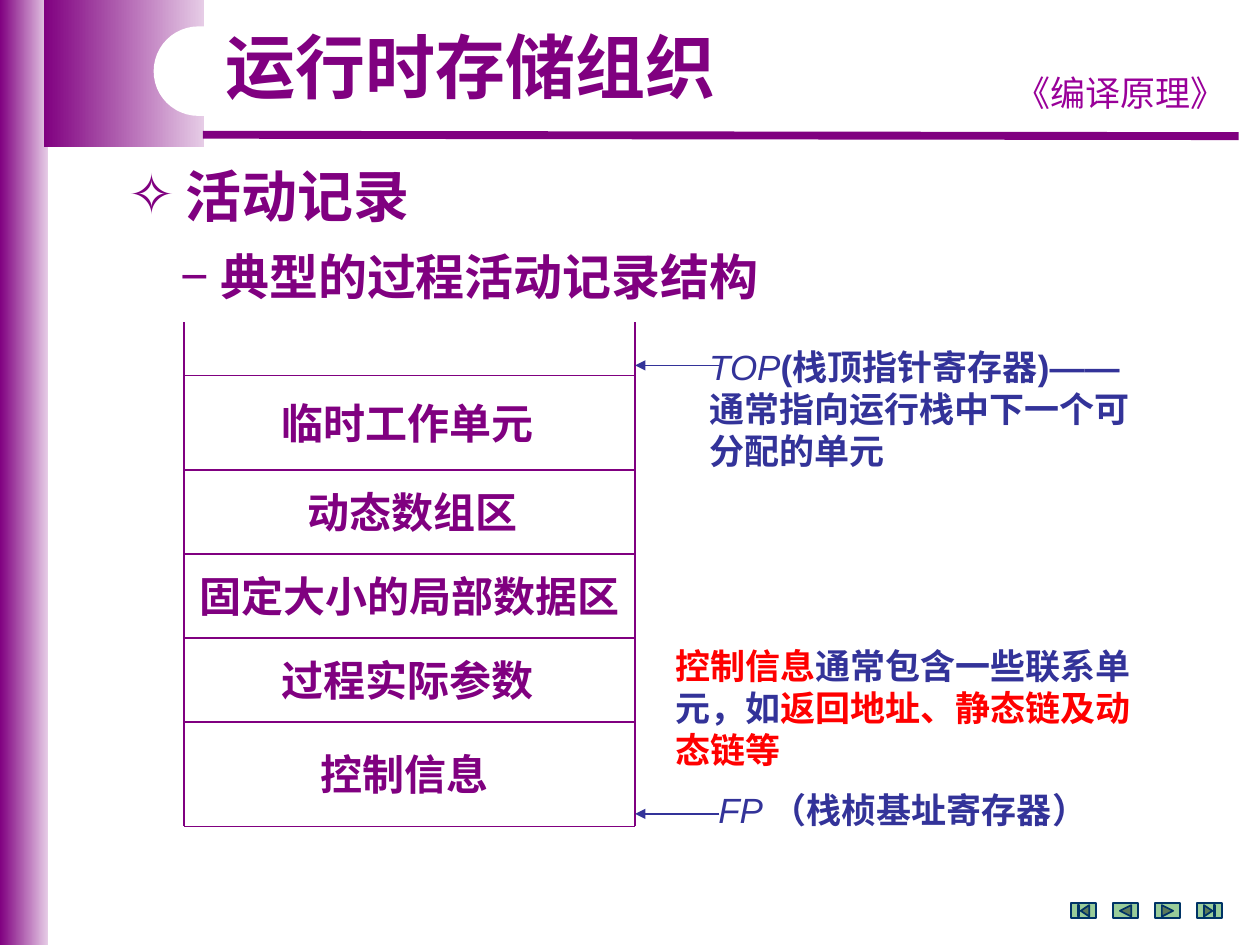
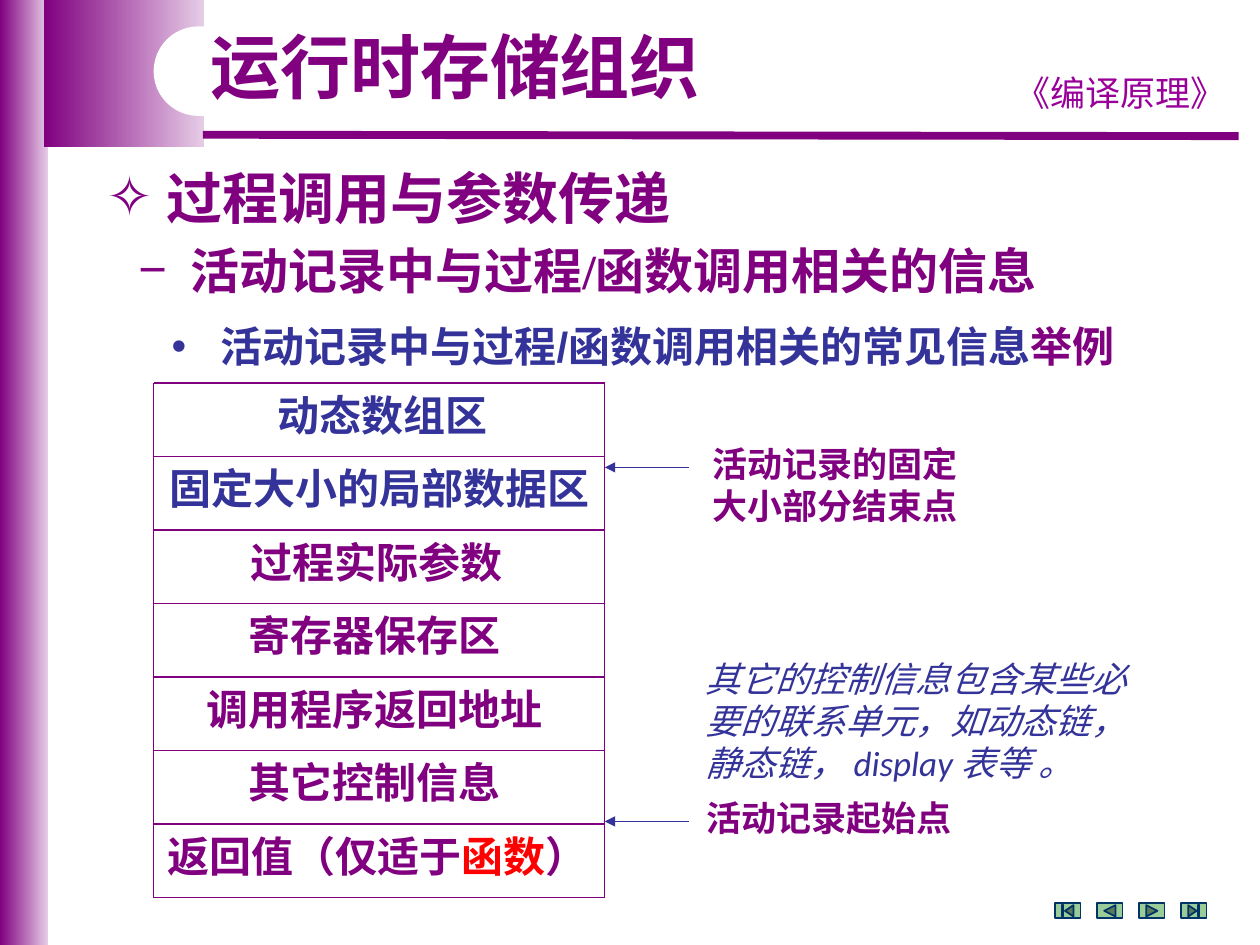
from itertools import pairwise

from lxml import etree
from pptx import Presentation
from pptx.dml.color import RGBColor
from pptx.enum.shapes import MSO_CONNECTOR, MSO_SHAPE
from pptx.enum.text import MSO_ANCHOR, MSO_AUTO_SIZE, PP_ALIGN
from pptx.oxml.ns import qn
from pptx.util import Pt

STRAIGHT = MSO_CONNECTOR.STRAIGHT
RECT, ROUNDED = MSO_SHAPE.RECTANGLE, MSO_SHAPE.ROUNDED_RECTANGLE
LEFT, CENTER = PP_ALIGN.LEFT, PP_ALIGN.CENTER
TOP, NO_FIT = MSO_ANCHOR.TOP, MSO_AUTO_SIZE.NONE
BUTTONS = [
    MSO_SHAPE.ACTION_BUTTON_BEGINNING,
    MSO_SHAPE.ACTION_BUTTON_BACK_OR_PREVIOUS,
    MSO_SHAPE.ACTION_BUTTON_FORWARD_OR_NEXT,
    MSO_SHAPE.ACTION_BUTTON_END,
]

PURPLE, LILAC, BLUE, RED, WHITE = "800080", "E6CCE6", "333399", "FF0000", "FFFFFF"
MAGENTA, GREEN, NAVY = "990099", "99CC99", "003366"
TIMES, NOTO = "Times New Roman", "Noto Sans CJK SC"
TITLE, COURSE = "运行时存储组织", "《编译原理》"
COLUMN_W, CELL_H, ARROW_W = 257.8, 36, 48.2

# Content: a text is a string or a list of (text, run format); boxes are left, top, width, height
SLIDES = [
    {
        "title_left": 121.7,
        "buttons_left": 612,
        "headings": [
            ((66.2, 88.6, 528, 45), [
                ("活动记录", dict(size=32, bullet="✧", indent=33)),
            ]),
            ((95.8, 137.5, 477, 41), [
                ([("典型的", dict(font=NOTO)), ("过程活动记录结构", dict(font=TIMES))],
                 dict(size=28, bullet="−", indent=23)),
            ]),
        ],
        # Column of memory cells: rules, and (text, left offset, width) per cell
        "column_left": 105.1,
        "column_top": 184.3,
        "rules": [214.6, 268.6, 316.6, 364.6, 412.6, 472.3],
        "centred": True,
        "cells": [
            ("临时工作单元", 3.6, 248),
            ("动态数组区", 3.6, 254),
            ("固定大小的局部数据区", 0, 258),
            ("过程实际参数", 3.6, 248),
            ("控制信息", 0, 252),
        ],
        "arrows": [208.8, 465.1],
        "remarks": [
            ((398.2, 193.7, 254.9, 80),
             [("TOP", dict(italic=True, bold=False)),
              "(栈顶指针寄存器)——通常指向运行栈中下一个可分配的单元"],
             dict(color=BLUE)),
            ((378.7, 365, 290.9, 80),
             [("控制信息", dict(color=RED)), "通常包含一些联系单元，如",
              ("返回地址、静态链及动态链等", dict(color=RED))],
             dict(color=BLUE)),
            ((392.4, 447.1, 247, 31),
             [("FP ", dict(italic=True, bold=False)), "（栈桢基址寄存器）"],
             dict(color=BLUE, align=CENTER)),
        ],
    },
    {
        "title_left": 113,
        "buttons_left": 603,
        "headings": [
            ((54, 90, 528, 45), [
                ("过程调用与参数传递", dict(size=32, bullet="✧", indent=34)),
            ]),
            ((72, 133.9, 617.8, 82), [
                ("活动记录中与过程/函数调用相关的信息",
                 dict(size=28, font=TIMES, bullet="−", indent=30)),
                ([("活动记录中与过程/函数调用相关的常见信息", dict(color=BLUE)), "举例"],
                 dict(size=24, bullet="•", indent=47, hang=28, before=12)),
            ]),
        ],
        "column_left": 87.8,
        "column_top": 218.9,
        "rules": [218.9 + 42 * i for i in range(8)],
        "centred": False,
        "cells": [
            ([("动态数组区", dict(color=BLUE))], 3.6, 254),
            ([("固定大小的局部数据区", dict(color=BLUE))], 0, 258),
            ("过程实际参数", 3.6, 248),
            ("寄存器保存区", 0, 252),
            ("调用程序返回地址", 0, 252),
            ("其它控制信息", 0, 252),
            (["返回值（仅适于", ("函数", dict(color=RED)), "）"], 0, 255.6),
        ],
        "arrows": [267.1, 469.4],
        "remarks": [
            ((394.6, 249.1, 164.9, 55.4), "活动记录的固定大小部分结束点", dict(align=CENTER)),
            ((396, 372.2, 262, 80),
             [("其它的控制信息包含某些必要的联系单元，如动态链，静态链， ", dict(font=NOTO)),
              ("display ", dict(font="Calibri")), ("表等 ", dict(font=NOTO)), "。"],
             dict(color=BLUE, italic=True, bold=False)),
            ((388.1, 451.4, 171.4, 31), "活动记录起始点", dict(align=CENTER)),
        ],
    },
]


def rgb(color):
    return RGBColor.from_string(color)


def write(p, text, size=20, align=LEFT, spacing=None, before=0,
          bullet=None, indent=0, hang=None, **fmt):
    """Fill one paragraph; run formats override fmt."""
    p.alignment, p.space_before = align, Pt(before)
    if spacing:
        p.line_spacing = spacing
    if bullet:
        pPr = p._p.get_or_add_pPr()
        pPr.set("marL", str(Pt(indent)))
        pPr.set("indent", str(-Pt(hang or indent)))
        etree.SubElement(pPr, qn("a:buFont")).set("typeface", "Arial")
        etree.SubElement(pPr, qn("a:buChar")).set("char", bullet)
    for part in [text] if isinstance(text, str) else text:
        words, own = (part, {}) if isinstance(part, str) else part
        look = dict(font="Arial", color=PURPLE, bold=True, italic=False) | fmt | own
        r = p.add_run()
        r.text = words
        r.font.size, r.font.name = Pt(size), look["font"]
        r.font.bold, r.font.italic = look["bold"], look["italic"]
        r.font.color.rgb = rgb(look["color"])


def prepare(sp):
    tf = sp.text_frame
    tf.word_wrap, tf.auto_size, tf.vertical_anchor = True, NO_FIT, TOP
    return tf


def add_text(s, box, *paragraphs):
    sp = s.shapes.add_textbox(*map(Pt, box))
    tf = prepare(sp)
    for i, (text, fmt) in enumerate(paragraphs):
        write(tf.add_paragraph() if i else tf.paragraphs[0], text, **fmt)
    return sp


def add_shape(s, kind, box, fill, line=None):
    """A list of two colours as fill gives a left-to-right gradient."""
    sp = s.shapes.add_shape(kind, *map(Pt, box))
    sp.shadow.inherit = False
    if isinstance(fill, list):
        sp.fill.gradient()
        sp.fill.gradient_angle = 0
        for stop, color in zip(sp.fill.gradient_stops, fill):
            stop.color.rgb = rgb(color)
    else:
        sp.fill.solid()
        sp.fill.fore_color.rgb = rgb(fill)
    if line:
        sp.line.color.rgb, sp.line.width = rgb(line), Pt(1)
    else:
        sp.line.fill.background()
    return sp


def add_line(s, x1, y1, x2, y2, color=PURPLE, width=0.75, arrow=False):
    c = s.shapes.add_connector(STRAIGHT, *map(Pt, (x1, y1, x2, y2)))
    c.line.color.rgb, c.line.width = rgb(color), Pt(width)
    if arrow:
        etree.SubElement(c.line._get_or_add_ln(), qn("a:tailEnd")).set("type", "triangle")
    etree.SubElement(c._element.spPr, qn("a:effectLst"))
    return c


def move_frame_to_layout(s, layout):
    """Draw the shared bands, rule and course name, and hand them to the layout."""
    pill = add_shape(s, ROUNDED, (87.8, 15.1, 260.6, 51.1), WHITE)
    pill.adjustments[0] = 0.5
    frame = [
        add_shape(s, RECT, (0, 0, 27.4, 540), [PURPLE, LILAC]),
        add_shape(s, RECT, (25.2, 0, 91.4, 84.2), [PURPLE, LILAC]),
        add_line(s, 115.9, 77, 707.8, 77.8, width=4.5),
        add_text(s, (569.5, 37.4, 141.8, 31),
                 (COURSE, dict(font="Comic Neue", color=MAGENTA, bold=False, align=CENTER))),
        pill,
    ]
    for sp in frame:
        layout.shapes._spTree.append(sp._element)


def add_title(s, left):
    sp = s.shapes.title
    sp.left, sp.top, sp.width, sp.height = map(Pt, (left, 15.1, 298, 50.4))
    write(prepare(sp).paragraphs[0], TITLE, size=40, spacing=0.9)


def add_column(s, d):
    left, rules = d["column_left"], d["rules"]
    right = left + COLUMN_W
    for x in (left, right):
        add_line(s, x, d["column_top"], x, rules[-1])
    for y in rules:
        add_line(s, left, y, right, y)
    for (top, bottom), (text, dx, width) in zip(pairwise(rules), d["cells"]):
        y = (top + bottom - CELL_H) / 2 if d["centred"] else top
        add_text(s, (left + dx, y, width, CELL_H), (text, dict(size=24, align=CENTER)))
    for y in d["arrows"]:
        add_line(s, right + ARROW_W, y, right, y, color=BLUE, arrow=True)


def main():
    prs = Presentation()
    prs.slide_width, prs.slide_height = Pt(720), Pt(540)
    layout = prs.slide_layouts[5]
    for i, d in enumerate(SLIDES):
        s = prs.slides.add_slide(layout)
        if i == 0:
            move_frame_to_layout(s, layout)
        add_title(s, d["title_left"])
        for box, paragraphs in d["headings"]:
            add_text(s, box, *paragraphs)
        add_column(s, d)
        for box, text, fmt in d["remarks"]:
            add_text(s, box, (text, fmt))
        # Navigation buttons
        for n, kind in enumerate(BUTTONS):
            add_shape(s, kind, (d["buttons_left"] + 24 * n, 516.2, 14.4, 8.6), GREEN, NAVY)
    prs.save("out.pptx")


if __name__ == "__main__":
    main()
